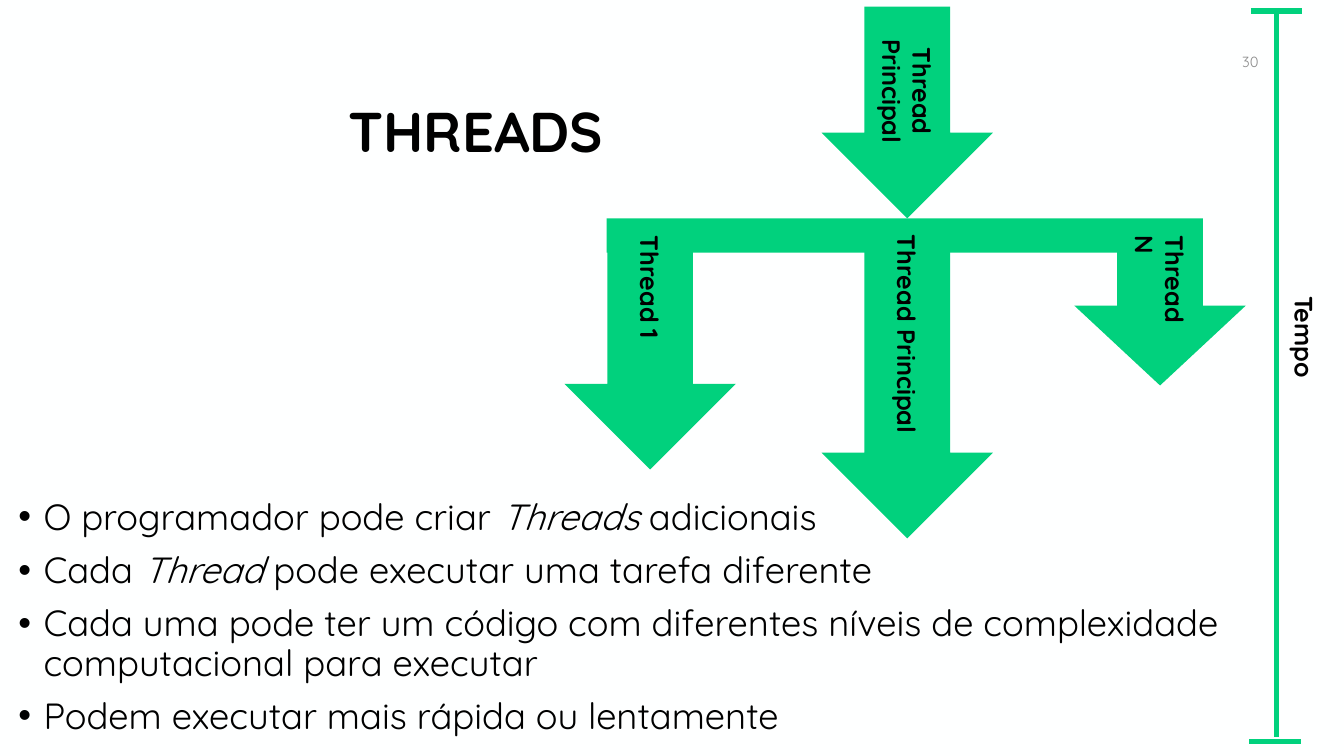
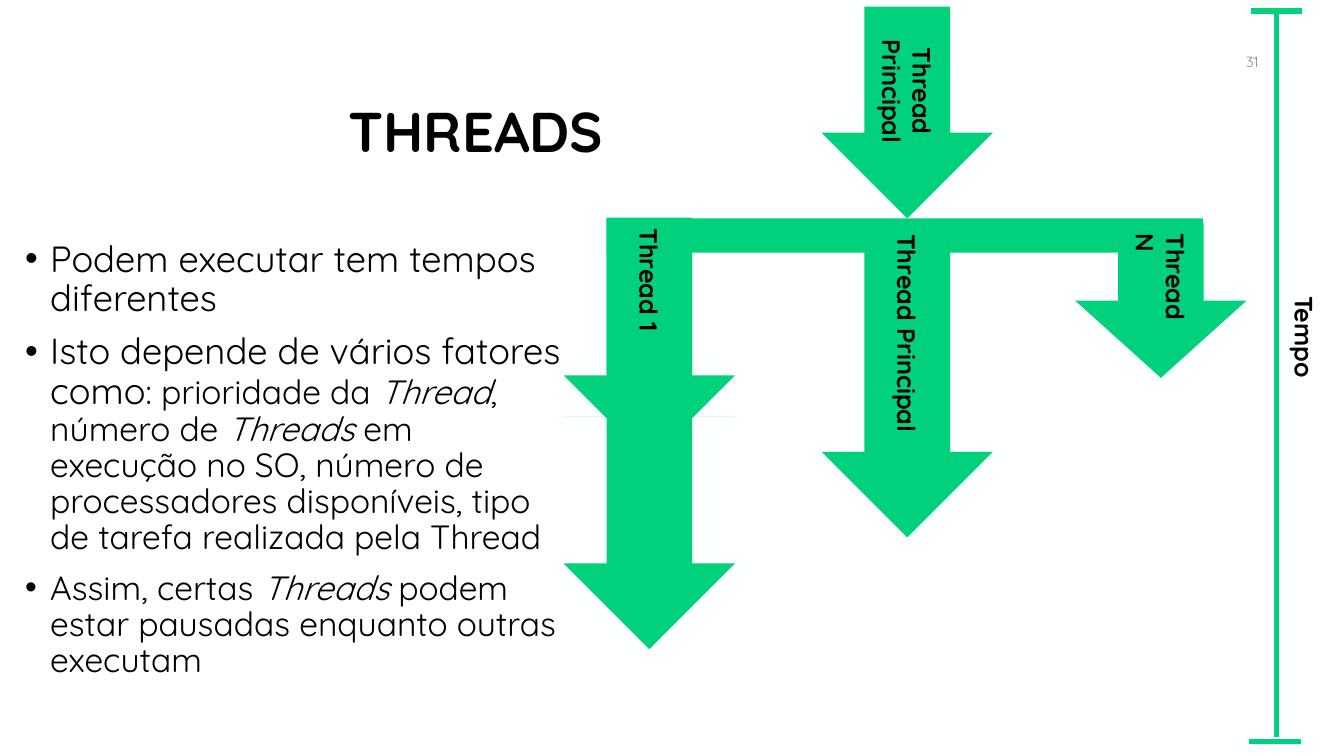
"""Build two slides on how a main thread branches into further threads over time."""
from lxml import etree
from pptx import Presentation
from pptx.dml.color import RGBColor
from pptx.enum.shapes import MSO_CONNECTOR, MSO_SHAPE
from pptx.enum.text import MSO_ANCHOR, MSO_AUTO_SIZE, PP_ALIGN
from pptx.oxml.ns import qn
from pptx.util import Inches, Pt

GREEN = RGBColor(0x01, 0xD1, 0x7D)
BLACK = RGBColor(0x00, 0x00, 0x00)
GRAY = RGBColor(0x8C, 0x8C, 0x8C)
BACKGROUND = RGBColor(0xFE, 0xFF, 0xFF)
RECTANGLE, RIGHT_ARROW = MSO_SHAPE.RECTANGLE, MSO_SHAPE.RIGHT_ARROW
STRAIGHT = MSO_CONNECTOR.STRAIGHT
TOP, MIDDLE = MSO_ANCHOR.TOP, MSO_ANCHOR.MIDDLE
LEFT, CENTER, RIGHT = PP_ALIGN.LEFT, PP_ALIGN.CENTER, PP_ALIGN.RIGHT
FIT_SHAPE = MSO_AUTO_SIZE.SHAPE_TO_FIT_TEXT

FONT = {"name": "Quicksand", "size": Pt(26), "bold": False, "italic": False}
LABEL = {"size": Pt(18), "bold": True}
TITLE = {"size": Pt(40), "bold": True}
NUMBER = {"size": Pt(10.5)}
SMALL = {"size": Pt(24)}
ITALIC = {"italic": True}
SMALL_ITALIC = SMALL | ITALIC

presentation = Presentation()
presentation.slide_width = Inches(13.33)
presentation.slide_height = Inches(7.5)
CELL = presentation.slide_width / 16
ARROW_WIDTH = 2.04
MAIN_COLUMN = 10.8


def cells(*counts):
    return [round(count * CELL) for count in counts]


def write(shape, paragraphs, base, color=BLACK, align=LEFT, anchor=MIDDLE,
          wrap=True, bullets=False, **paragraph_format):
    frame = shape.text_frame
    frame.word_wrap = wrap
    frame.vertical_anchor = anchor
    for index, runs in enumerate(paragraphs):
        paragraph = frame.add_paragraph() if index else frame.paragraphs[0]
        paragraph.alignment = align
        if bullets:
            properties = paragraph._p.get_or_add_pPr()
            properties.set("marL", str(Inches(0.25)))
            properties.set("indent", str(-Inches(0.25)))
            etree.SubElement(properties, qn("a:buFont"), typeface="Arial")
            etree.SubElement(properties, qn("a:buChar"), char="•")
            paragraph.space_before = Pt(10 if index else 0)
        for name, value in paragraph_format.items():
            setattr(paragraph, name, value)
        for text, changes in runs:
            run = paragraph.add_run()
            run.text = text
            run.font.color.rgb = color
            for name, value in (FONT | base | changes).items():
                setattr(run.font, name, value)


main_arrow = ("Thread Principal", MAIN_COLUMN, 0.08, 2.52, CENTER, None)
slides = [
    {
        "number": "30",
        "arrows": [
            main_arrow,
            ("Thread Principal", MAIN_COLUMN, 2.68, 3.73, LEFT, None),
            ("Thread 1", 7.74, 2.69, 2.9, LEFT, None),
            ("Thread N", 13.81, 2.69, 1.9, LEFT, None),
        ],
        "body_box": (0.1, 5.88, 15.19, 3.13),
        "body": [
            [("O programador pode criar ", {}), ("Threads", ITALIC), (" adicionais", {})],
            [("Cada ", {}), ("Thread", ITALIC), (" pode executar uma tarefa diferente", {})],
            [("Cada uma pode ter um código com diferentes níveis de complexidade "
              "computacional para executar", {})],
            [("Podem executar mais rápida ou lentamente", {})],
        ],
    },
    {
        "number": "31",
        "arrows": [
            main_arrow,
            ("Thread Principal", MAIN_COLUMN, 2.67, 3.73, LEFT, None),
            ("Thread N", 13.82, 2.66, 1.84, LEFT, None),
            ("Thread 1", 7.73, 2.59, 2.9, LEFT, None),
            ("", 7.73, 4.81, 2.92, LEFT, None),
            ("Thread 1", 7.73, 2.6, 2.36, LEFT, 0),
        ],
        "body_box": (0.18, 2.81, 6.68, 6.01),
        "body": [
            [("Podem executar tem tempos diferentes", {})],
            [("Isto depende de vários fatores como", {}), (": prioridade da ", SMALL),
             ("Thread", SMALL_ITALIC), (", número de ", SMALL), ("Threads ", SMALL_ITALIC),
             ("em execução no SO, número de processadores disponíveis, "
              "tipo de tarefa realizada pela Thread", SMALL)],
            [("Assim, certas ", SMALL), ("Threads ", SMALL_ITALIC),
             ("podem estar pausadas enquanto outras executam", SMALL)],
        ],
    },
]
time_lines = [
    (15.2, 0.13, 15.2, 8.78),
    (14.89, 0.13, 15.5, 0.13),
    (14.87, 8.83, 15.49, 8.83),
]

for content in slides:
    slide = presentation.slides.add_slide(presentation.slide_layouts[6])
    slide.background.fill.solid()
    slide.background.fill.fore_color.rgb = BACKGROUND

    branch_bar = slide.shapes.add_shape(RECTANGLE, *cells(7.22, 2.6, 7.1, 0.41))
    green_shapes = [branch_bar]
    for label, center, top, length, align, head in content["arrows"]:
        arrow = slide.shapes.add_shape(RIGHT_ARROW, *cells(
            center - length / 2, top + (length - ARROW_WIDTH) / 2, length, ARROW_WIDTH))
        arrow.rotation = 90
        if head is not None:
            arrow.adjustments[1] = head
        if label:
            write(arrow, [[(label, {})]], LABEL, align=align)
        green_shapes.append(arrow)
    for shape in green_shapes:
        shape.shadow.inherit = False
        shape.fill.solid()
        shape.fill.fore_color.rgb = GREEN
        shape.line.fill.background()

    time_axis = slide.shapes.add_group_shape()
    for ends in time_lines:
        line = time_axis.shapes.add_connector(STRAIGHT, *cells(*ends))
        line.line.color.rgb = GREEN
        line.line.width = Pt(3.75)
        etree.SubElement(line._element.spPr, qn("a:effectLst"))

    time_label = slide.shapes.add_textbox(*cells(14.9, 3.8, 1.26, 0.48))
    time_label.rotation = 90
    write(time_label, [[("Tempo", {})]], LABEL, anchor=TOP, wrap=False)
    time_label.text_frame.auto_size = FIT_SHAPE

    title = slide.shapes.add_textbox(*cells(1.86, 0.76, 7.61, 1.68))
    write(title, [[("THREADS", {})]], TITLE, align=CENTER, line_spacing=0.9)
    number = slide.shapes.add_textbox(*cells(11.5, 0.5, 3.6, 0.48))
    write(number, [[(content["number"], {})]], NUMBER, color=GRAY, align=RIGHT)
    body = slide.shapes.add_textbox(*cells(*content["body_box"]))
    write(body, content["body"], {}, anchor=TOP, bullets=True, line_spacing=0.9)

presentation.save("out.pptx")
